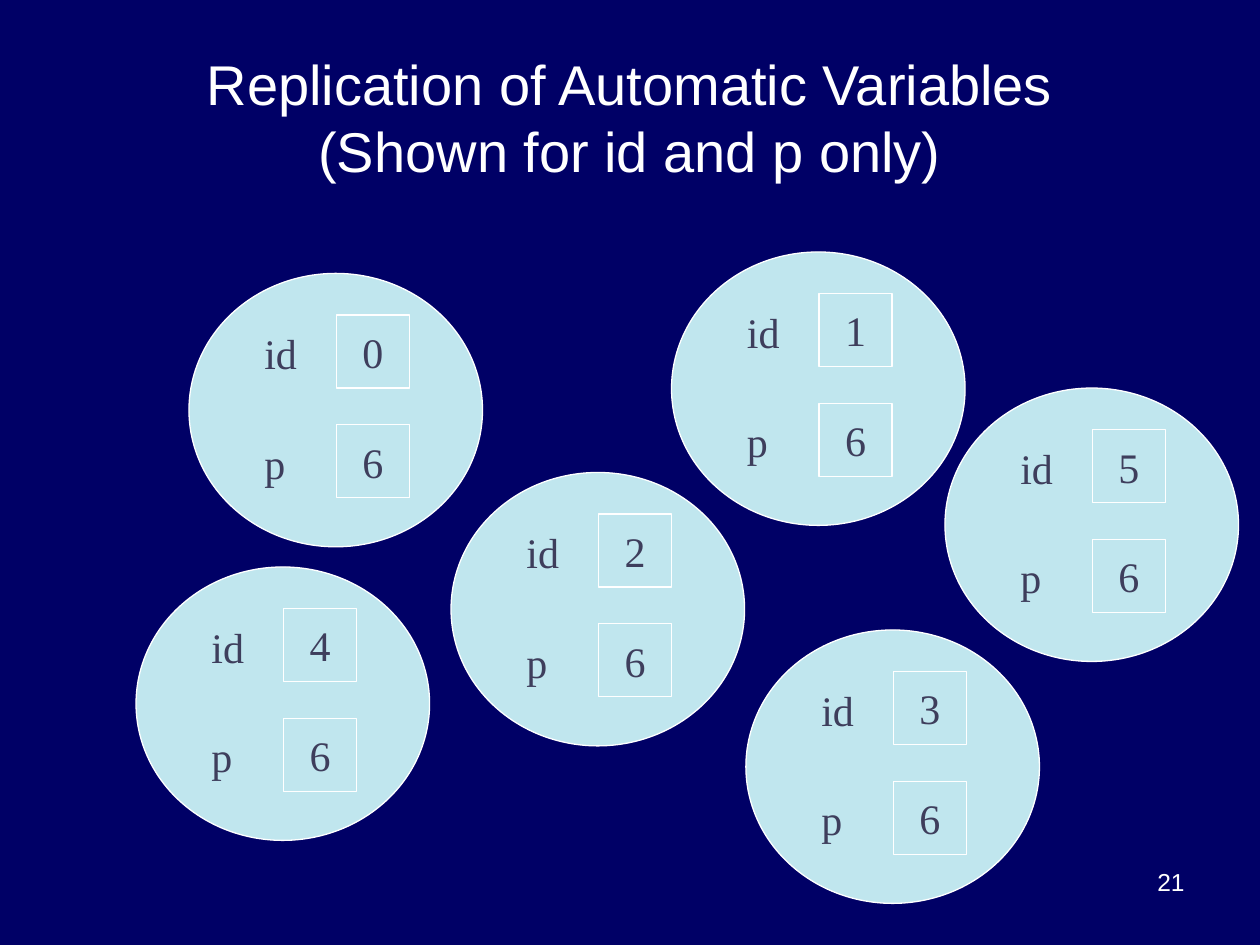
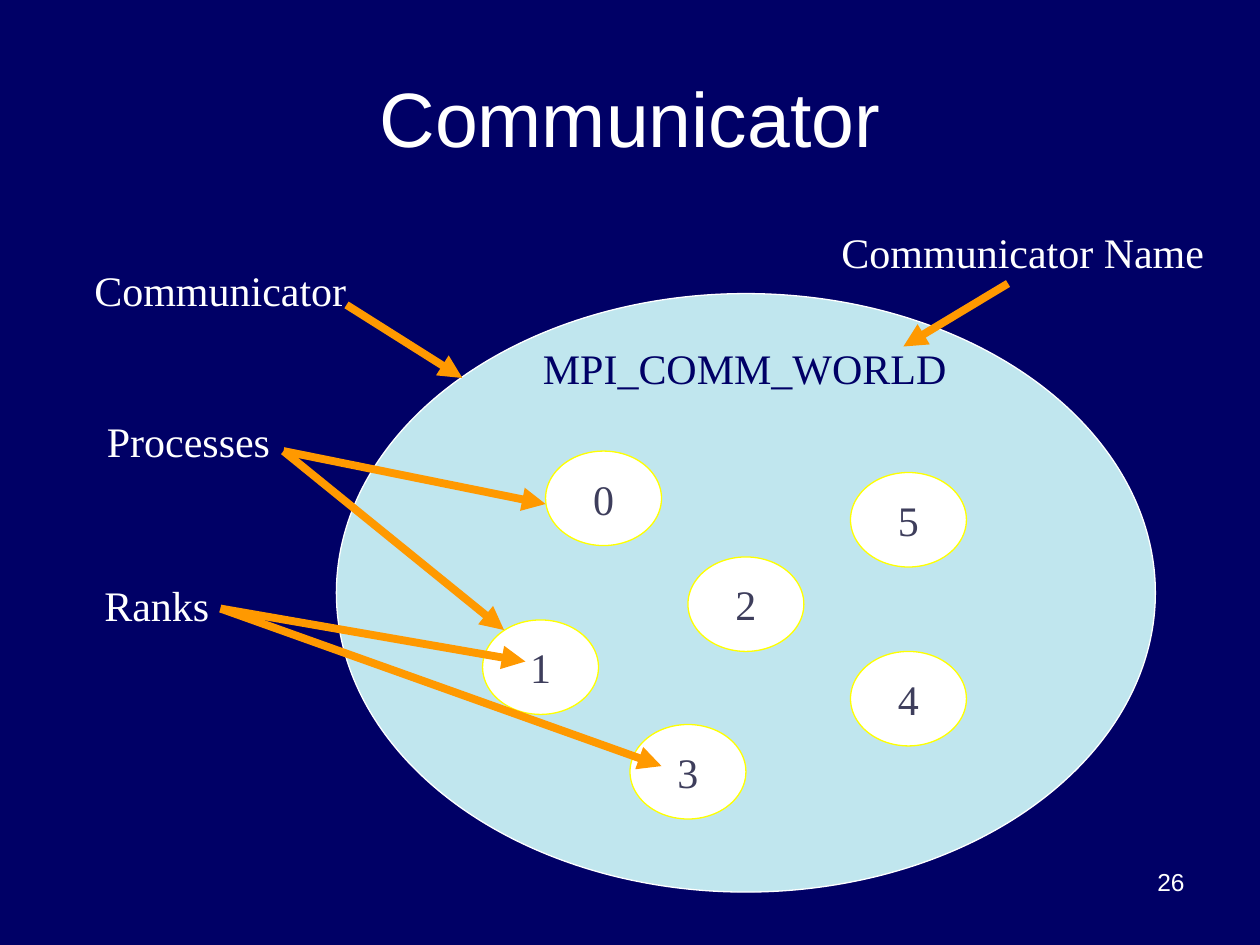
"""Build two slides on replicated variables and communicators in MPI."""
from dataclasses import dataclass

from lxml.etree import SubElement
from pptx import Presentation
from pptx.dml.color import RGBColor
from pptx.enum.shapes import MSO_CONNECTOR, MSO_SHAPE
from pptx.enum.text import MSO_ANCHOR, MSO_AUTO_SIZE, PP_ALIGN
from pptx.oxml.ns import qn
from pptx.util import Inches, Pt


@dataclass(frozen=True)
class Theme:
    """Colours, fonts and type sizes shared by the slides."""
    navy: str = "000066"
    white: str = "FFFFFF"
    bubble: str = "C0E6EE"
    ink: str = "3E3E5C"
    yellow: str = "FFFF00"
    orange: str = "FF9900"
    sans: str = "Arial"
    serif: str = "Times New Roman"
    long_title: int = 32
    short_title: int = 44
    body: int = 24
    footer: int = 14
    outline: float = 0.75
    arrow: float = 4.5


THEME = Theme()

REPLICATION = {
    "title": ("Replication of Automatic Variables", "(Shown for id and p only)"),
    "title_size": THEME.long_title,
    "page": "21",
    "p": "6",
    "processes": [("0", 1.5, 2.17), ("4", 1.08, 4.5), ("2", 3.58, 3.75),
                  ("1", 5.33, 2), ("5", 7.5, 3.08), ("3", 5.92, 5)],
}
COMMUNICATOR = {
    "title": ("Communicator",),
    "title_size": THEME.short_title,
    "page": "26",
    "world": ("MPI_COMM_WORLD", (4.21, 2.67, 3.45, 0.5)),
    "ranks": [("0", 4.33, 3.58), ("2", 5.46, 4.42), ("1", 3.83, 4.92),
              ("3", 5, 5.75), ("4", 6.75, 5.17), ("5", 6.75, 3.75)],
    "callouts": [
        ("Communicator", (0.65, 2.05, 2.25, 0.5), (2.75, 2.42), [(3.67, 3)]),
        ("Processes", (0.75, 3.25, 1.55, 0.5), (2.25, 3.58), [(4.33, 4), (4, 5)]),
        ("Ranks", (0.73, 4.55, 1.1, 0.5), (1.75, 4.83), [(5.25, 6.08), (4.17, 5.25)]),
        ("Communicator Name", (6.58, 1.75, 3.12, 0.5), (8, 2.25), [(7.17, 2.75)]),
    ],
}

TITLE_BOX = (0.5, 0.3, 9, 1.25)
PAGE_BOX = (7.17, 6.83, 2.33, 0.52)
WORLD_OVAL = (2.67, 2.33, 6.5, 4.75)
BUBBLE_SIZE = (2.33, 2.17)
RANK_SIZE = (0.92, 0.75)
CELL = 0.58
CELL_OFFSET = (1.17, 0.33)
ROW_PITCH = 0.87
NAME_OFFSET = (0.5, 0.38)
NAME_WIDTHS = {"id": 0.46, "p": 0.36}


def inches(values):
    return [Inches(value) for value in values]


def rgb(colour):
    return RGBColor.from_string(colour)


def style(paragraph, colour, size=THEME.body, font=THEME.serif, align=PP_ALIGN.LEFT):
    paragraph.alignment = align
    paragraph.font.name = font
    paragraph.font.size = Pt(size)
    paragraph.font.color.rgb = rgb(colour)


def add_figure(shapes, kind, box, fill, line=None, text="", align=PP_ALIGN.CENTER):
    figure = shapes.add_shape(kind, *inches(box))
    figure.shadow.inherit = False
    figure.fill.solid()
    figure.fill.fore_color.rgb = rgb(fill)
    if line:
        figure.line.color.rgb = rgb(line)
        figure.line.width = Pt(THEME.outline)
    else:
        figure.line.fill.background()
    if text:
        frame = figure.text_frame
        frame.text = text
        frame.word_wrap = False
        frame.vertical_anchor = MSO_ANCHOR.MIDDLE
        style(frame.paragraphs[0], THEME.ink, align=align)


def add_label(shapes, text, box, colour):
    frame = shapes.add_textbox(*inches(box)).text_frame
    frame.text = text
    frame.word_wrap = True
    frame.auto_size = MSO_AUTO_SIZE.NONE
    style(frame.paragraphs[0], colour)


def add_arrow(shapes, start, end):
    arrow = shapes.add_connector(MSO_CONNECTOR.STRAIGHT, *inches(start + end))
    arrow.line.color.rgb = rgb(THEME.orange)
    arrow.line.width = Pt(THEME.arrow)
    SubElement(arrow.line._get_or_add_ln(), qn("a:tailEnd"), type="triangle")
    SubElement(arrow._element.spPr, qn("a:effectLst"))


def start_slide(deck, content):
    slide = deck.slides.add_slide(deck.slide_layouts[5])
    title = slide.shapes.title
    title.left, title.top, title.width, title.height = inches(TITLE_BOX)
    title.text_frame.vertical_anchor = MSO_ANCHOR.MIDDLE
    heading = title.text_frame.paragraphs[0]
    for index, line in enumerate(content["title"]):
        if index:
            heading.add_line_break()
        heading.add_run().text = line
    style(heading, THEME.white, content["title_size"], THEME.sans, PP_ALIGN.CENTER)
    return slide


def add_page_number(slide, page):
    frame = slide.shapes.add_textbox(*inches(PAGE_BOX)).text_frame
    frame.word_wrap = True
    frame.text = page
    style(frame.paragraphs[0], THEME.white, THEME.footer, THEME.sans, PP_ALIGN.RIGHT)


def add_process(slide, variables, left, top):
    shapes = slide.shapes.add_group_shape().shapes
    add_figure(shapes, MSO_SHAPE.OVAL, (left, top, *BUBBLE_SIZE), THEME.bubble, THEME.white)
    for row, (name, value) in enumerate(variables.items()):
        row_top = top + row * ROW_PITCH
        cell = (left + CELL_OFFSET[0], row_top + CELL_OFFSET[1], CELL, CELL)
        label = (left + NAME_OFFSET[0], row_top + NAME_OFFSET[1], NAME_WIDTHS[name], 0.5)
        add_figure(shapes, MSO_SHAPE.RECTANGLE, cell, THEME.bubble, THEME.white, value)
        add_figure(shapes, MSO_SHAPE.RECTANGLE, label, THEME.bubble, text=name,
                   align=PP_ALIGN.LEFT)


def build_replication(deck):
    slide = start_slide(deck, REPLICATION)
    for rank, left, top in REPLICATION["processes"]:
        add_process(slide, {"id": rank, "p": REPLICATION["p"]}, left, top)
    add_page_number(slide, REPLICATION["page"])


def build_communicator(deck):
    slide = start_slide(deck, COMMUNICATOR)
    add_figure(slide.shapes, MSO_SHAPE.OVAL, WORLD_OVAL, THEME.bubble, THEME.white)
    add_label(slide.shapes, *COMMUNICATOR["world"], THEME.navy)
    for rank, left, top in COMMUNICATOR["ranks"]:
        add_figure(slide.shapes, MSO_SHAPE.OVAL, (left, top, *RANK_SIZE),
                   THEME.white, THEME.yellow, rank)
    for text, box, start, targets in COMMUNICATOR["callouts"]:
        shapes = slide.shapes.add_group_shape().shapes
        add_label(shapes, text, box, THEME.white)
        for target in targets:
            add_arrow(shapes, start, target)
    add_page_number(slide, COMMUNICATOR["page"])


def main():
    deck = Presentation()
    deck.slide_width, deck.slide_height = inches((10, 7.5))
    backdrop = deck.slide_master.background.fill
    backdrop.solid()
    backdrop.fore_color.rgb = rgb(THEME.navy)
    build_replication(deck)
    build_communicator(deck)
    deck.save("out.pptx")


if __name__ == "__main__":
    main()
